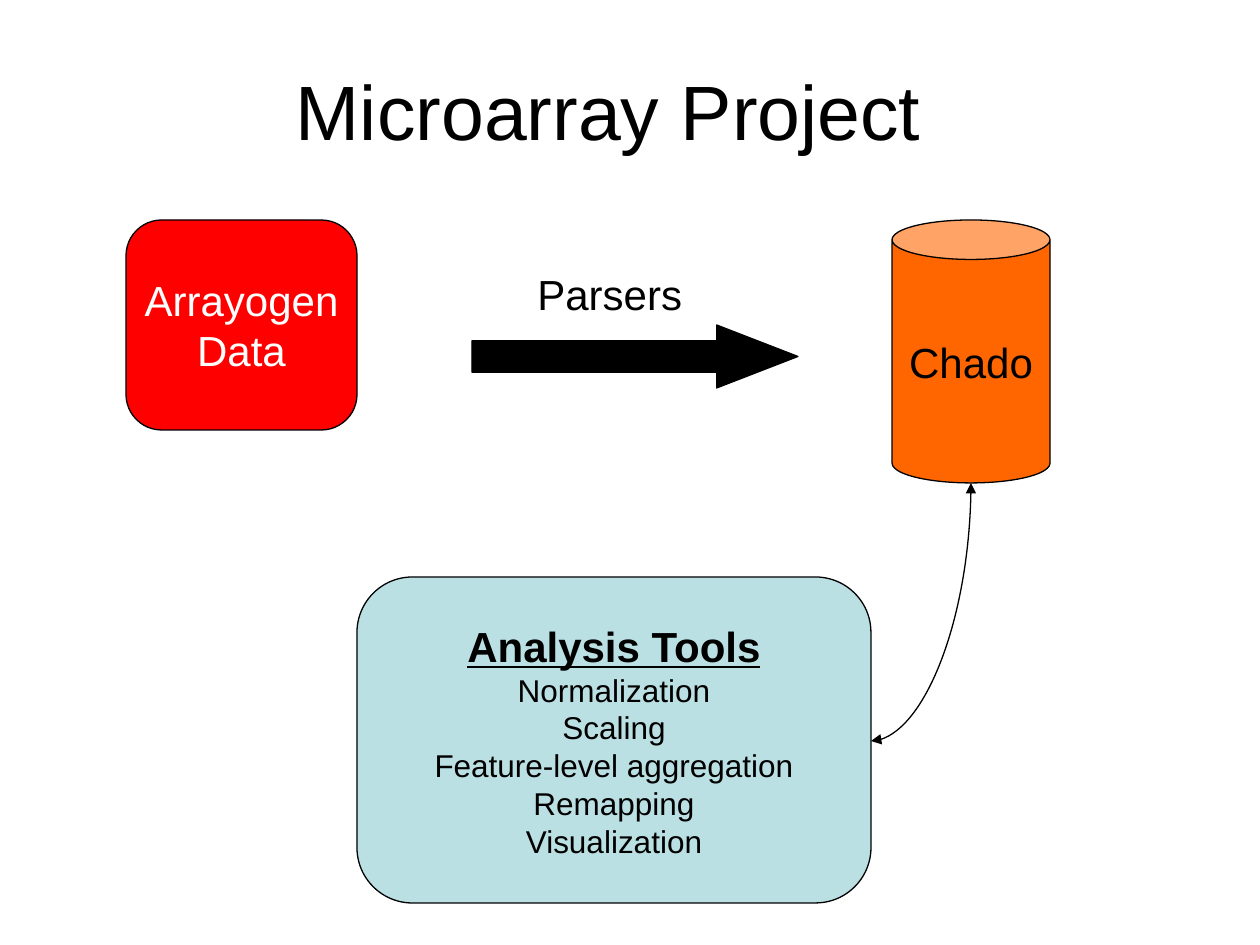
from lxml import etree
from pptx import Presentation
from pptx.dml.color import RGBColor
from pptx.enum.shapes import MSO_CONNECTOR, MSO_SHAPE
from pptx.enum.text import MSO_ANCHOR, PP_ALIGN
from pptx.oxml.ns import qn
from pptx.util import Emu, Pt

CAN = MSO_SHAPE.CAN
ROUNDED = MSO_SHAPE.ROUNDED_RECTANGLE
RIGHT_ARROW = MSO_SHAPE.RIGHT_ARROW
CURVE = MSO_CONNECTOR.CURVE
MIDDLE, TOP = MSO_ANCHOR.MIDDLE, MSO_ANCHOR.TOP
CENTER, LEFT = PP_ALIGN.CENTER, PP_ALIGN.LEFT

BLACK = RGBColor(0x00, 0x00, 0x00)
WHITE = RGBColor(0xFF, 0xFF, 0xFF)
RED = RGBColor(0xFF, 0x00, 0x00)
ORANGE = RGBColor(0xFF, 0x66, 0x00)
PALE_TEAL = RGBColor(0xBB, 0xE0, 0xE3)

PX_PER_INCH = 126
LINE_WIDTH = Pt(0.75)


def px(*lengths):
    return [Emu(round(length * 914400 / PX_PER_INCH)) for length in lengths]


def write(box, text, size=24, color=BLACK, align=CENTER, anchor=MIDDLE,
          wrap=False, heading_size=None):
    """Write one paragraph per line; heading_size marks the first as a heading."""
    frame = box.text_frame
    frame.word_wrap = wrap
    frame.vertical_anchor = anchor
    for index, line in enumerate(text.split("\n")):
        para = frame.add_paragraph() if index else frame.paragraphs[0]
        para.alignment = align
        span = para.add_run()
        span.text = line
        span.font.name = "Arial"
        span.font.size = Pt(size)
        span.font.color.rgb = color
        if heading_size and index == 0:
            span.font.size = Pt(heading_size)
            span.font.bold = span.font.underline = True


deck = Presentation()
deck.slide_width, deck.slide_height = px(1260, 945)
page = deck.slides.add_slide(deck.slide_layouts[6])

# Title
title = page.shapes.add_textbox(*px(73, 31, 1071, 158))
write(title, "Microarray Project", size=44, wrap=True)

# Data source, parser arrow, database and analysis tools
tools_text = ("Analysis Tools\nNormalization\nScaling\n"
              "Feature-level aggregation\nRemapping\nVisualization")
parts = [
    (CAN, (892, 220, 158, 263), [0.25], ORANGE, "Chado", {}),
    (ROUNDED, (126, 220, 231, 210), [0.17], RED, "Arrayogen\nData",
     {"color": WHITE}),
    (RIGHT_ARROW, (472, 325, 326, 63), [0.5, 1.29], BLACK, "", {}),
    (ROUNDED, (357, 577, 514, 326), [0.17], PALE_TEAL, tools_text,
     {"size": 18, "heading_size": 24}),
]
for kind, place, adjustments, fill, text, style in parts:
    shape = page.shapes.add_shape(kind, *px(*place))
    shape.shadow.inherit = False
    for index, value in enumerate(adjustments):
        shape.adjustments[index] = value
    shape.fill.solid()
    shape.fill.fore_color.rgb = fill
    shape.line.color.rgb = BLACK
    shape.line.width = LINE_WIDTH
    if text:
        write(shape, text, **style)

# Arrow label
label = page.shapes.add_textbox(*px(525, 262, 170, 63))
write(label, "Parsers", align=LEFT, anchor=TOP)

# Two-way curve between database and tools: a quarter bend turned by 90 degrees
start_x, start_y, end_x, end_y = 971, 483, 871, 741
middle_x, middle_y = (start_x + end_x) // 2, (start_y + end_y) // 2
half_run, half_rise = (end_y - start_y) // 2, (start_x - end_x) // 2
curve = page.shapes.add_connector(
    CURVE, *px(middle_x - half_run, middle_y - half_rise,
               middle_x + half_run, middle_y + half_rise))
curve.line.color.rgb = BLACK
curve.line.width = LINE_WIDTH
properties = curve._element.spPr
properties.find(qn("a:xfrm")).set("rot", str(90 * 60000))
properties.find(qn("a:prstGeom")).set("prst", "curvedConnector2")
outline = properties.find(qn("a:ln"))
for end in ("a:headEnd", "a:tailEnd"):
    etree.SubElement(outline, qn(end), type="triangle")
etree.SubElement(properties, qn("a:effectLst"))

deck.save("out.pptx")
